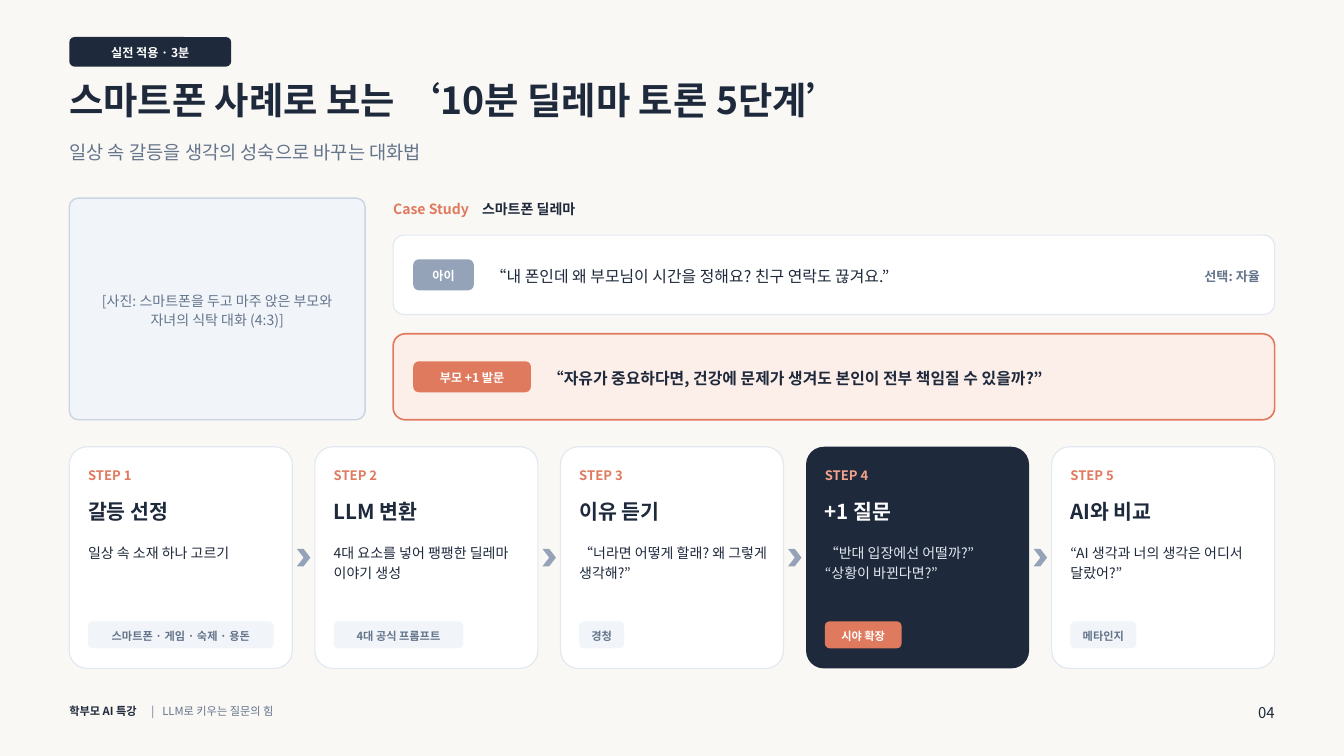
import pptx
import pptx.util
import pptx.dml.color
import pptx.enum.shapes
import pptx.enum.text
import pptx.oxml.ns
import lxml.etree

Cm, Pt = pptx.util.Cm, pptx.util.Pt
RGBColor = pptx.dml.color.RGBColor
SHAPE = pptx.enum.shapes.MSO_SHAPE
ALIGN = pptx.enum.text.PP_ALIGN
ANCHOR = pptx.enum.text.MSO_ANCHOR
qn = pptx.oxml.ns.qn

FONT = "Noto Sans CJK KR"
CREAM = RGBColor(0xFA, 0xF8, 0xF5)
NAVY = RGBColor(0x1E, 0x29, 0x3B)
SLATE = RGBColor(0x64, 0x74, 0x8B)
GREY = RGBColor(0x94, 0xA3, 0xB8)
SILVER = RGBColor(0xCB, 0xD5, 0xE1)
MIST = RGBColor(0xE2, 0xE8, 0xF0)
PALE = RGBColor(0xF1, 0xF5, 0xF9)
CORAL = RGBColor(0xE0, 0x7A, 0x5F)
PEACH = RGBColor(0xF4, 0xA3, 0x8B)
BLUSH = RGBColor(0xFC, 0xEE, 0xE9)
WHITE = RGBColor(0xFF, 0xFF, 0xFF)

MARGIN, CONTENT_WIDTH = 2.62, 45.56
PANEL_HEIGHT = 8.38
CARD_WIDTH, CARD_PAD = 8.43, 0.71

STEPS = [
    ("갈등 선정", "일상 속 소재 하나 고르기", "스마트폰 · 게임 · 숙제 · 용돈", 7.01),
    ("LLM 변환", "4대 요소를 넣어 팽팽한 딜레마 이야기 생성", "4대 공식 프롬프트", 4.9),
    ("이유 듣기", "“너라면 어떻게 할래? 왜 그렇게 생각해?”", "경청", 1.7),
    ("+1 질문", "“반대 입장에선 어떨까?” “상황이 바뀐다면?”", "시야 확장", 2.9),
    ("AI와 비교", "“AI 생각과 너의 생각은 어디서 달랐어?”", "메타인지", 2.49),
]
KEY_STEP = 4


def write(frame, text, size, color=NAVY, bold=False, align=ALIGN.LEFT,
          anchor=ANCHOR.TOP, spacing=1.15, inset=0, tabs=()):
    """Fill a frame; text is a string or a list of (text, color, bold) runs."""
    frame.word_wrap = True
    frame.vertical_anchor = anchor
    frame.margin_left = frame.margin_right = Cm(inset)
    frame.margin_top = frame.margin_bottom = Cm(inset)
    paragraph = frame.paragraphs[0]
    paragraph.alignment = align
    paragraph.line_spacing = spacing
    if tabs:
        stops = lxml.etree.SubElement(paragraph._p.get_or_add_pPr(), qn("a:tabLst"))
        for stop in tabs:
            lxml.etree.SubElement(stops, qn("a:tab"), pos=str(int(Cm(stop))), algn="l")
    runs = [(text, color, bold)] if isinstance(text, str) else text
    for words, run_color, run_bold in runs:
        run = paragraph.add_run()
        run.text = words
        run.font.name = FONT
        run.font.size = Pt(size)
        run.font.bold = run_bold
        run.font.color.rgb = run_color
        east_asian = lxml.etree.SubElement(run._r.get_or_add_rPr(), qn("a:ea"))
        east_asian.set("typeface", FONT)


def add_text(slide, x, y, w, h, text, size, **style):
    box = slide.shapes.add_textbox(Cm(x), Cm(y), Cm(w), Cm(h))
    write(box.text_frame, text, size, **style)


def add_panel(slide, x, y, w, h, fill, line=None, line_width=1.25,
              radius=0.18, kind=SHAPE.ROUNDED_RECTANGLE):
    panel = slide.shapes.add_shape(kind, Cm(x), Cm(y), Cm(w), Cm(h))
    panel.shadow.inherit = False
    panel.fill.solid()
    panel.fill.fore_color.rgb = fill
    if line is None:
        panel.line.fill.background()
    else:
        panel.line.color.rgb = line
        panel.line.width = Pt(line_width)
    if kind == SHAPE.ROUNDED_RECTANGLE:
        panel.adjustments[0] = radius
    return panel


def add_tag(slide, x, y, w, h, text, size, fill, color=WHITE):
    tag = add_panel(slide, x, y, w, h, fill)
    write(tag.text_frame, text, size, color=color, bold=True,
          align=ALIGN.CENTER, anchor=ANCHOR.MIDDLE)


def add_header(slide, x, y, w):
    add_tag(slide, x, y, 6.12, 1.12, "실전 적용 · 3분", 13, NAVY)
    add_text(slide, x, y + 1.52, w, 2.29, "스마트폰 사례로 보는 ‘10분 딜레마 토론 5단계’",
             40, bold=True, spacing=1.0)
    add_text(slide, x, y + 3.81, w, 1.27, "일상 속 갈등을 생각의 성숙으로 바꾸는 대화법",
             20, color=SLATE)


def add_photo_frame(slide, x, y, w, h):
    frame = add_panel(slide, x, y, w, h, PALE, SILVER, 1.5, radius=0.04)
    write(frame.text_frame, "[사진: 스마트폰을 두고 마주 앉은 부모와 자녀의 식탁 대화 (4:3)]",
          15, color=SLATE, align=ALIGN.CENTER, anchor=ANCHOR.MIDDLE, inset=0.76)


def add_speech(slide, x, y, w, h, speaker, tag_width, tag_fill, quote,
               fill, line, line_width, bold=False, choice=None):
    add_panel(slide, x, y, w, h, fill, line, line_width, radius=0.14)
    tag_x, tag_height = x + 0.76, 1.17
    add_tag(slide, tag_x, y + (h - tag_height) / 2, tag_width, tag_height,
            speaker, 13, tag_fill)
    quote_x, right = tag_x + tag_width + 0.64, x + w - 0.56
    choice_width = 5.33
    quote_right = right - choice_width - 0.13 if choice else right
    add_text(slide, quote_x, y, quote_right - quote_x, h, quote, 17,
             bold=bold, anchor=ANCHOR.MIDDLE)
    if choice:
        add_text(slide, right - choice_width, y, choice_width, h, choice, 14,
                 color=SLATE, bold=True, align=ALIGN.RIGHT, anchor=ANCHOR.MIDDLE)


def add_case_study(slide, x, y, w, h):
    add_text(slide, x, y, 15.24, 1.14,
             [("Case Study", CORAL, True), ("\t스마트폰 딜레마", NAVY, True)],
             15, tabs=[3.36])
    add_speech(slide, x, y + 1.4, w, 3, "아이", 2.29, GREY,
               "“내 폰인데 왜 부모님이 시간을 정해요? 친구 연락도 끊겨요.”",
               WHITE, MIST, 1.25, choice="선택: 자율")
    add_speech(slide, x, y + h - 3.25, w, 3.25, "부모 +1 발문", 4.45, CORAL,
               "“자유가 중요하다면, 건강에 문제가 생겨도 본인이 전부 책임질 수 있을까?”",
               BLUSH, CORAL, 1.75, bold=True)


def add_step_card(slide, x, y, w, h, number, name, detail, tag, tag_width):
    key = number == KEY_STEP
    add_panel(slide, x, y, w, h, NAVY if key else WHITE,
              None if key else MIST, radius=0.08)
    left, text_width = x + CARD_PAD, 7.11
    add_text(slide, left, y + CARD_PAD, text_width, 1.02, f"STEP {number}", 14,
             color=PEACH if key else CORAL, bold=True)
    add_text(slide, left, y + 1.83, text_width, 1.4, name, 22,
             color=WHITE if key else NAVY, bold=True)
    add_text(slide, left, y + 3.56, text_width, 3.18, detail, 15,
             color=MIST if key else NAVY, spacing=1.2)
    add_tag(slide, left, y + 6.6, tag_width, 1.02, tag, 12,
            CORAL if key else PALE, WHITE if key else SLATE)


def add_steps(slide, x, y, w, h):
    gap = (w - len(STEPS) * CARD_WIDTH) / (len(STEPS) - 1)
    arrow_width, arrow_height = 0.51, 0.66
    for number, step in enumerate(STEPS, 1):
        card_x = x + (number - 1) * (CARD_WIDTH + gap)
        add_step_card(slide, card_x, y, CARD_WIDTH, h, number, *step)
        if number < len(STEPS):
            add_panel(slide, card_x + CARD_WIDTH + (gap - arrow_width) / 2,
                      y + (h - arrow_height) / 2, arrow_width, arrow_height,
                      GREY, kind=SHAPE.CHEVRON)


def add_footer(slide, x, y, w):
    add_text(slide, x, y, 20.32, 1.02,
             [("학부모 AI 특강", NAVY, True), ("\t|\tLLM로 키우는 질문의 힘", SLATE, False)],
             12, tabs=[3.1, 3.52])
    add_text(slide, x + w - 3.88, y - 0.05, 3.88, 1.14, "04", 16, align=ALIGN.RIGHT)


def main():
    deck = pptx.Presentation()
    deck.slide_width, deck.slide_height = Cm(50.8), Cm(28.58)
    slide = deck.slides.add_slide(deck.slide_layouts[6])
    slide.background.fill.solid()
    slide.background.fill.fore_color.rgb = CREAM

    add_header(slide, MARGIN, 1.4, CONTENT_WIDTH)
    # Case: photo frame on the left, dialogue on the right
    add_photo_frame(slide, MARGIN, 7.49, 11.18, PANEL_HEIGHT)
    add_case_study(slide, 14.86, 7.49, 33.32, PANEL_HEIGHT)
    # Five discussion steps
    add_steps(slide, MARGIN, 16.89, CONTENT_WIDTH, PANEL_HEIGHT)
    add_footer(slide, MARGIN, 26.54, CONTENT_WIDTH)
    deck.save("out.pptx")


if __name__ == "__main__":
    main()
